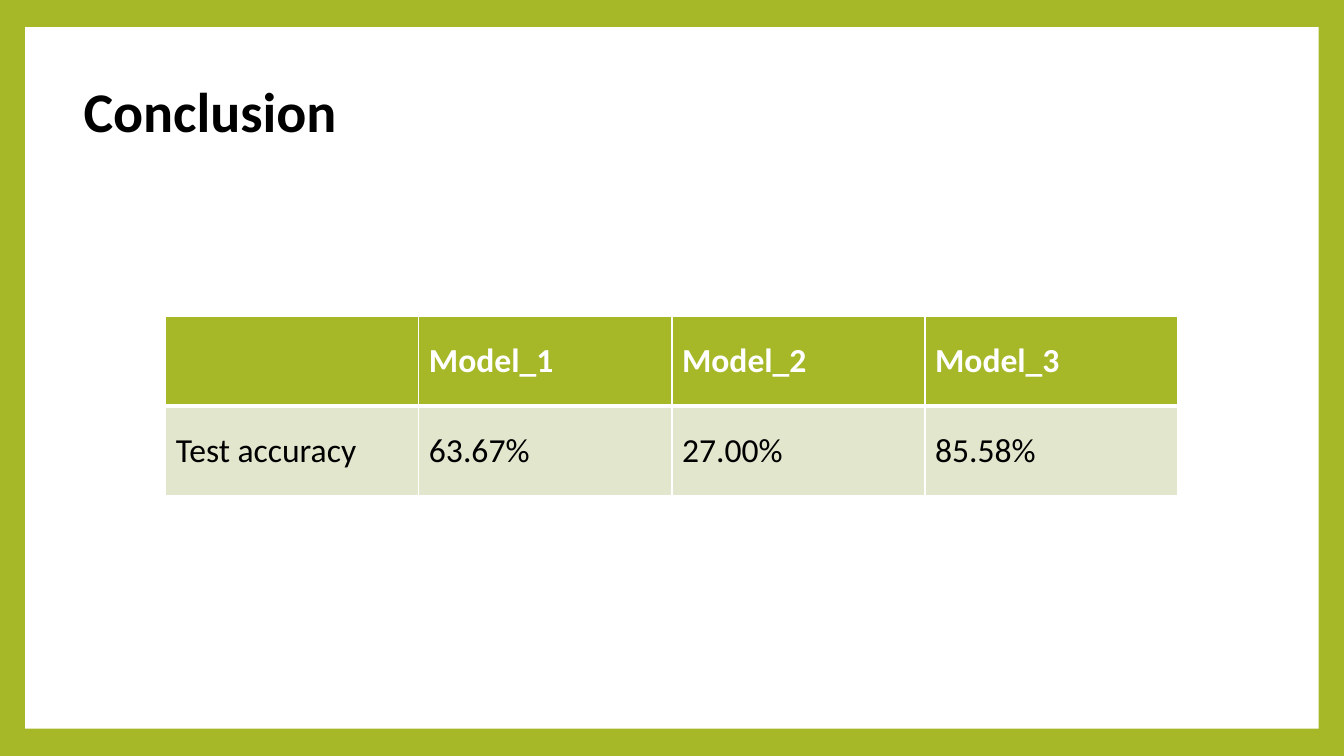
from lxml.etree import SubElement
from pptx import Presentation
from pptx.dml.color import RGBColor
from pptx.enum.shapes import MSO_SHAPE as Shape
from pptx.enum.text import MSO_ANCHOR as Anchor, MSO_AUTO_SIZE as AutoSize
from pptx.oxml.ns import qn
from pptx.util import Inches, Pt

WIDTH, HEIGHT = 13.33, 7.5
GREEN, PALE_GREEN, WHITE, BLACK = "A6B727", "E1E6CD", "FFFFFF", "000000"
ACCURACY = [
    ["", "Model_1", "Model_2", "Model_3"],
    ["Test accuracy", "63.67%", "27.00%", "85.58%"],
]


def color(hex_string):
    return RGBColor.from_string(hex_string)


def style(paragraph, size, hex_string, bold):
    font = paragraph.font
    font.name, font.size, font.bold = "Calibri", Pt(size), bold
    font.color.rgb = color(hex_string)


def add_panel(slide, left, top, width, height):
    panel = slide.shapes.add_shape(
        Shape.RECTANGLE, Inches(left), Inches(top), Inches(width), Inches(height))
    panel.shadow.inherit = False
    panel.fill.solid()
    panel.fill.fore_color.rgb = color(WHITE)
    panel.line.fill.background()


def add_title(slide, text, left, top, width, height):
    box = slide.shapes.add_textbox(
        Inches(left), Inches(top), Inches(width), Inches(height))
    frame = box.text_frame
    frame.word_wrap = False
    frame.auto_size = AutoSize.SHAPE_TO_FIT_TEXT
    frame.text = text
    style(frame.paragraphs[0], 40, BLACK, True)


def set_borders(cell, widths):
    """Draw white borders; widths maps L, R, T and B to points."""
    properties = cell._tc.get_or_add_tcPr()
    for index, (side, width) in enumerate(widths.items()):
        line = properties.makeelement(qn(f"a:ln{side}"), {"w": str(Pt(width))})
        fill = SubElement(line, qn("a:solidFill"))
        SubElement(fill, qn("a:srgbClr"), val=WHITE)
        properties.insert(index, line)


def add_table(slide, rows, left, top, column_width, row_height):
    column_count = len(rows[0])
    table = slide.shapes.add_table(
        len(rows), column_count, Inches(left), Inches(top),
        Inches(column_width * column_count), Inches(row_height * len(rows))).table
    for row_index, texts in enumerate(rows):
        header = row_index == 0
        table.rows[row_index].height = Inches(row_height)
        for column_index, text in enumerate(texts):
            cell = table.cell(row_index, column_index)
            cell.text = text
            cell.vertical_anchor = Anchor.MIDDLE
            cell.fill.solid()
            cell.fill.fore_color.rgb = color(GREEN if header else PALE_GREEN)
            style(cell.text_frame.paragraphs[0], 24, WHITE if header else BLACK, header)
            set_borders(cell, {"L": 1, "R": 1,
                               "T": 1 if header else 3, "B": 3 if header else 1})


def main():
    presentation = Presentation()
    presentation.slide_width, presentation.slide_height = Inches(WIDTH), Inches(HEIGHT)
    slide = presentation.slides.add_slide(presentation.slide_layouts[6])
    slide.background.fill.solid()
    slide.background.fill.fore_color.rgb = color(GREEN)

    margin_x, margin_y = 0.25, 0.27
    add_panel(slide, margin_x, margin_y, WIDTH - 2 * margin_x, HEIGHT - 2 * margin_y)
    add_title(slide, "Conclusion", 0.73, 0.71, 2.85, 0.77)
    column_width = 2.51
    table_left = (WIDTH - column_width * len(ACCURACY[0])) / 2
    add_table(slide, ACCURACY, table_left, 3.14, column_width, 0.89)
    presentation.save("out.pptx")


if __name__ == "__main__":
    main()
